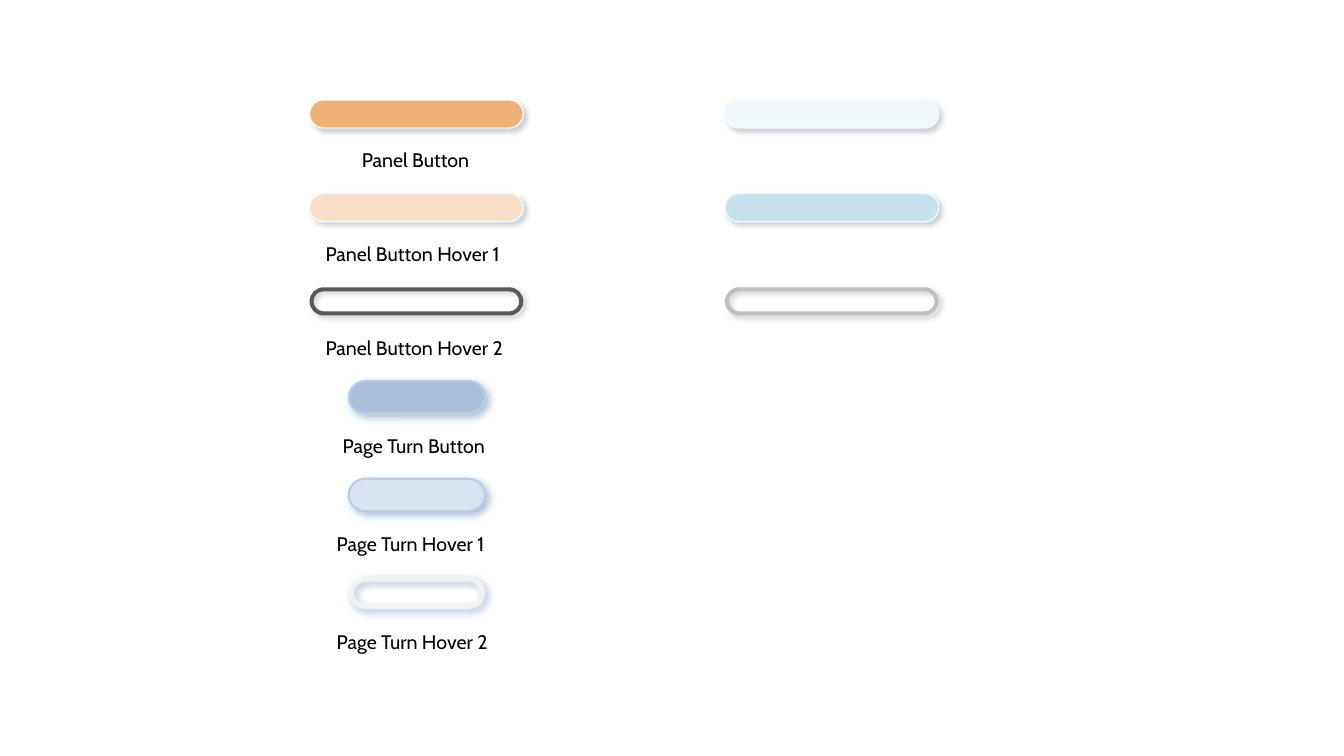
from lxml.etree import SubElement
from pptx import Presentation
from pptx.dml.color import RGBColor
from pptx.enum.shapes import MSO_SHAPE
from pptx.enum.text import MSO_AUTO_SIZE
from pptx.oxml.ns import qn
from pptx.util import Pt

PX = 9144
LABEL_HEIGHT = 34
ARC_PULL = 0.55

PANEL = dict(size=(212, 28), top=99, pitch=93, label_gap=43, ring=4,
             line=("F5FAFA", 1), shadow=("7C8590", 40, 4, 3))
PAGE_TURN = dict(size=(135, 32), top=378, pitch=97, label_gap=48, ring=5,
                 line=("BBCDE2", 1.5), shadow=("A9BFDB", 100, 6, 3))

COLUMNS = [
    (PANEL, 307, ["EEB277", "F8E0C8", "595959"]),
    (PANEL, 719, ["F0F7FA", "C6E0EC", "BFBFBF"]),
    (PAGE_TURN, 346, ["A9BFDB", "D9E2EF", "F2F2F2"]),
]
LABELS = [
    (PANEL, [("Panel Button", 349, 130),
             ("Panel Button Hover 1", 313, 202),
             ("Panel Button Hover 2", 313, 202)]),
    (PAGE_TURN, [("Page Turn Button", 330, 168),
                 ("Page Turn Hover 1", 324, 179),
                 ("Page Turn Hover 2", 324, 179)]),
]


def color(value):
    return RGBColor.from_string(value)


def emu(*lengths):
    return [round(length * PX) for length in lengths]


def paint(shape, fill, shadow):
    shape.fill.solid()
    shape.fill.fore_color.rgb = color(fill)
    shape.shadow.inherit = False
    tint, opacity, blur, distance = shadow
    effects = shape._element.spPr.find(qn("a:effectLst"))
    outer = SubElement(effects, qn("a:outerShdw"), blurRad=str(Pt(blur)),
                       dist=str(Pt(distance)), dir=str(45 * 60000),
                       algn="tl", rotWithShape="0")
    shade = SubElement(outer, qn("a:srgbClr"), val=tint)
    SubElement(shade, qn("a:alpha"), val=str(opacity * 1000))


def pill_anchors(left, top, width, height):
    radius = height / 2
    right, middle, bottom = left + width, top + radius, top + height
    start, end = left + radius, right - radius
    return [emu(*point) for point in (
        (start, top), (end, top), (right, middle), (end, bottom),
        (start, bottom), (left, middle), (start, top))]


def round_corners(shape):
    outline = next(shape._element.iter(qn("a:path")) )
    from_x = from_y = 0
    leaves_flat = True
    for step in list(outline):
        point = step.find(qn("a:pt"))
        if point is None:
            continue
        x, y = int(point.get("x")), int(point.get("y"))
        if step.tag == qn("a:lnTo") and x != from_x and y != from_y:
            pull_x, pull_y = ARC_PULL * (x - from_x), ARC_PULL * (y - from_y)
            if leaves_flat:
                controls = (from_x + pull_x, from_y), (x, y - pull_y)
            else:
                controls = (from_x, from_y + pull_y), (x - pull_x, y)
            curve = SubElement(outline, qn("a:cubicBezTo"))
            for curve_x, curve_y in (*controls, (x, y)):
                SubElement(curve, qn("a:pt"), x=str(round(curve_x)), y=str(round(curve_y)))
            outline.replace(step, curve)
            leaves_flat = not leaves_flat
        from_x, from_y = x, y


def add_pill(page, style, left, top, fill):
    pill = page.shapes.add_shape(MSO_SHAPE.ROUNDED_RECTANGLE,
                                 *emu(left, top, *style["size"]))
    pill.adjustments[0] = 0.5
    paint(pill, fill, style["shadow"])
    line_color, line_width = style["line"]
    pill.line.color.rgb = color(line_color)
    pill.line.width = Pt(line_width)


def add_ring(page, style, left, top, fill):
    width, height = style["size"]
    inset = style["ring"]
    outer = pill_anchors(left, top, width, height)
    inner = pill_anchors(left + inset, top + inset,
                         width - 2 * inset, height - 2 * inset)[::-1]
    builder = page.shapes.build_freeform(*inner[0])
    builder.add_line_segments(inner[1:-1], close=True)
    builder.move_to(*outer[0])
    builder.add_line_segments(outer[1:], close=True)
    ring = builder.convert_to_shape()
    round_corners(ring)
    paint(ring, fill, style["shadow"])
    ring.line.fill.background()


def add_label(page, text, left, top, width):
    box = page.shapes.add_textbox(*emu(left, top, width, LABEL_HEIGHT))
    frame = box.text_frame
    frame.word_wrap = True
    frame.auto_size = MSO_AUTO_SIZE.SHAPE_TO_FIT_TEXT
    para = frame.paragraphs[0]
    para.text = text
    para.font.name = "Cabin"
    para.font.size = Pt(14)
    para.font.color.rgb = color("000000")


def main():
    deck = Presentation()
    deck.slide_width, deck.slide_height = emu(1333, 750)
    page = deck.slides.add_slide(deck.slide_layouts[6])
    for style, left, fills in COLUMNS:
        for row, (add_button, fill) in enumerate(zip((add_pill, add_pill, add_ring), fills)):
            add_button(page, style, left, style["top"] + row * style["pitch"], fill)
    for style, labels in LABELS:
        for row, (text, left, width) in enumerate(labels):
            top = style["top"] + row * style["pitch"] + style["label_gap"]
            add_label(page, text, left, top, width)
    deck.save("out.pptx")


if __name__ == "__main__":
    main()
